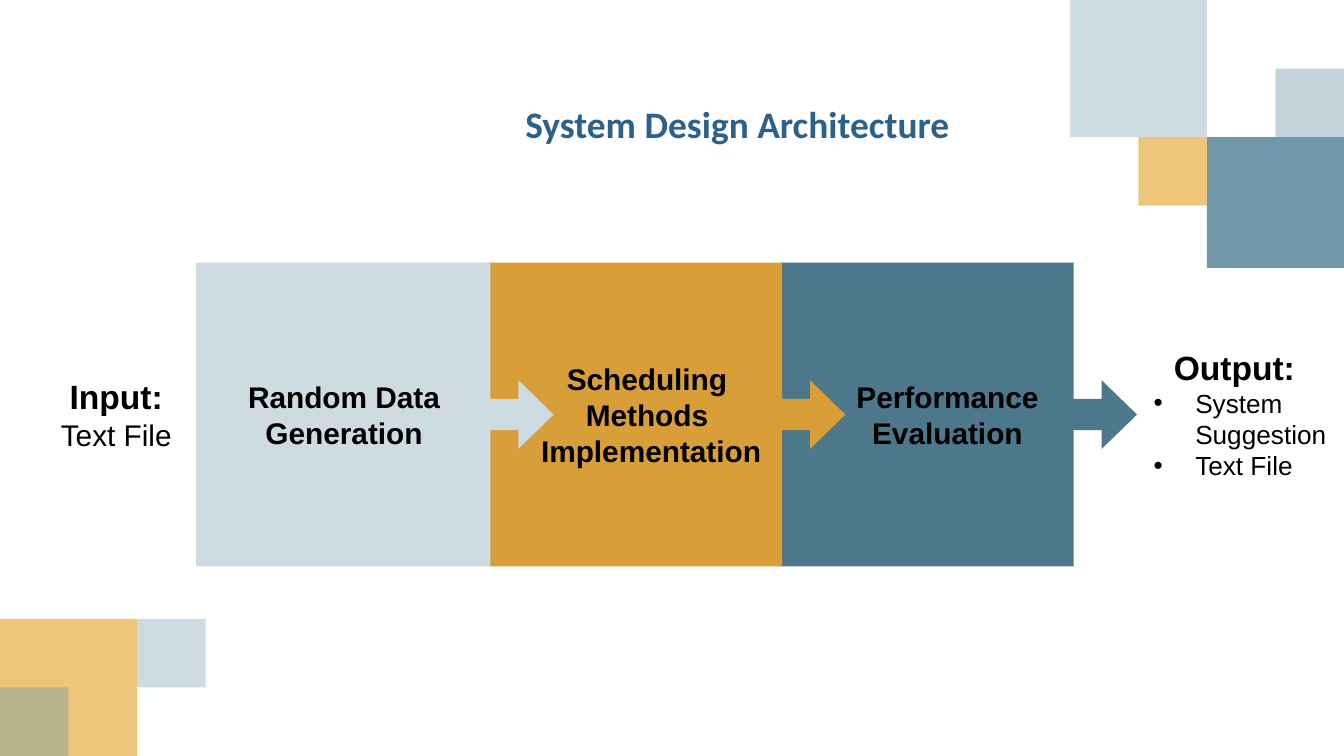
from dataclasses import dataclass

from lxml import etree
from pptx import Presentation
from pptx.dml.color import RGBColor
from pptx.enum.shapes import MSO_SHAPE
from pptx.enum.text import PP_ALIGN
from pptx.oxml.ns import qn
from pptx.util import Pt

PX = 4572
SLIDE_W, SLIDE_H = 2000, 1125
RECT = MSO_SHAPE.RECTANGLE
CALLOUT = MSO_SHAPE.RIGHT_ARROW_CALLOUT
LEFT = PP_ALIGN.LEFT
CENTER = PP_ALIGN.CENTER

MIST = RGBColor(0xCE, 0xDB, 0xE0)
STEEL = RGBColor(0x71, 0x98, 0xA9)
SAND = RGBColor(0xED, 0xC6, 0x7B)
TEAL = RGBColor(0x4D, 0x77, 0x8A)
OCHRE = RGBColor(0xD8, 0x9F, 0x39)
BLUE = RGBColor(0x2B, 0x61, 0x8B)
BLACK = RGBColor(0, 0, 0)
WHITE = RGBColor(0xFF, 0xFF, 0xFF)

SMALL, LARGE = 102, 204
STAGE_X, STAGE_Y, STAGE_W, STAGE_H, STAGE_STEP = 292, 391, 532, 452, 434
STAGE_ADJ = (0.103, 0.113, 0.116, 0.823)


@dataclass(frozen=True)
class Box:
    x: int
    y: int
    w: int
    h: int


@dataclass(frozen=True)
class Tile:
    x: int
    y: int
    side: int
    color: RGBColor
    alpha: int = 100


@dataclass(frozen=True)
class Line:
    text: str
    size: int
    bold: bool = False
    align: PP_ALIGN = CENTER
    font: str = "Arial"
    color: RGBColor = BLACK
    margin: int = 0
    bullet: bool = False


@dataclass(frozen=True)
class Stage:
    color: RGBColor
    label: Box
    lines: tuple[str, ...]


TILES = (
    Tile(SLIDE_W - 2 * LARGE, 0, LARGE, MIST),
    Tile(SLIDE_W - LARGE, LARGE, LARGE, STEEL),
    Tile(0, SLIDE_H - LARGE, LARGE, SAND),
    Tile(LARGE, SLIDE_H - LARGE, SMALL, MIST),
    Tile(0, SLIDE_H - SMALL, SMALL, STEEL, 41),
    Tile(SLIDE_W - LARGE - SMALL, LARGE, SMALL, SAND),
    Tile(SLIDE_W - SMALL, SMALL, SMALL, STEEL, 41),
)

STAGES = (
    Stage(MIST, Box(347, 554, 330, 128), ("Random Data", "Generation")),
    Stage(OCHRE, Box(778, 527, 382, 182),
          ("Scheduling ", "Methods ", "Implementation")),
    Stage(TEAL, Box(1252, 554, 316, 128), ("Performance", "Evaluation")),
)

TEXTS = (
    (Box(48, 550, 250, 134),
     (Line("Input:", 18, True), Line("Text File", 16))),
    (Box(762, 141, 876, 88),
     (Line("System Design Architecture", 20, True, LEFT, "Calibri", BLUE),)),
    (Box(1697, 506, 316, 222),
     (Line("Output:", 18, True, LEFT, margin=30),
      Line("System Suggestion", 14, align=LEFT, margin=62, bullet=True),
      Line("Text File", 14, align=LEFT, margin=62, bullet=True))),
)


def emu(px: int) -> int:
    return px * PX


def add_filled(s, kind, box: Box, color: RGBColor, alpha: int = 100):
    sp = s.shapes.add_shape(kind, emu(box.x), emu(box.y), emu(box.w), emu(box.h))
    sp.shadow.inherit = False
    sp.fill.solid()
    sp.fill.fore_color.rgb = color
    sp.line.fill.background()
    if alpha < 100:
        clr = sp.fill._xPr.find(qn("a:solidFill"))[0]
        etree.SubElement(clr, qn("a:alpha")).set("val", str(alpha * 1000))
    return sp


def add_text(s, box: Box, lines: tuple[Line, ...]) -> None:
    sp = s.shapes.add_textbox(emu(box.x), emu(box.y), emu(box.w), emu(box.h))
    tf = sp.text_frame
    tf.word_wrap = True
    for i, line in enumerate(lines):
        p = tf.add_paragraph() if i else tf.paragraphs[0]
        p.text = line.text
        p.alignment = line.align
        p.font.name = line.font
        p.font.size = Pt(line.size)
        p.font.bold = line.bold
        p.font.color.rgb = line.color
        p_pr = p._p.get_or_add_pPr()
        if line.margin:
            p_pr.set("marL", str(emu(line.margin)))
        if line.bullet:
            p_pr.set("indent", str(-emu(line.margin)))
            font = etree.Element(qn("a:buFont"))
            font.set("typeface", line.font)
            bullet = etree.Element(qn("a:buChar"))
            bullet.set("char", "•")
            p_pr.insert(0, font)
            p_pr.insert(1, bullet)


def add_stage(s, index: int, stage: Stage) -> None:
    box = Box(STAGE_X + index * STAGE_STEP, STAGE_Y, STAGE_W, STAGE_H)
    sp = add_filled(s, CALLOUT, box, stage.color)
    for i, value in enumerate(STAGE_ADJ):
        sp.adjustments[i] = value


def main() -> None:
    prs = Presentation()
    prs.slide_width, prs.slide_height = emu(SLIDE_W), emu(SLIDE_H)
    s = prs.slides.add_slide(prs.slide_layouts[6])

    for t in TILES:
        add_filled(s, RECT, Box(t.x, t.y, t.side, t.side), t.color, t.alpha)

    panel = add_filled(s, RECT, Box(1384, 402, 616, 652), WHITE)
    panel.line.color.rgb = WHITE
    panel.line.width = Pt(2)

    for i, stage in reversed(list(enumerate(STAGES))):
        add_stage(s, i, stage)
    for stage in STAGES:
        add_text(s, stage.label, tuple(Line(t, 16, True) for t in stage.lines))
    for box, lines in TEXTS:
        add_text(s, box, lines)

    prs.save("out.pptx")


if __name__ == "__main__":
    main()
